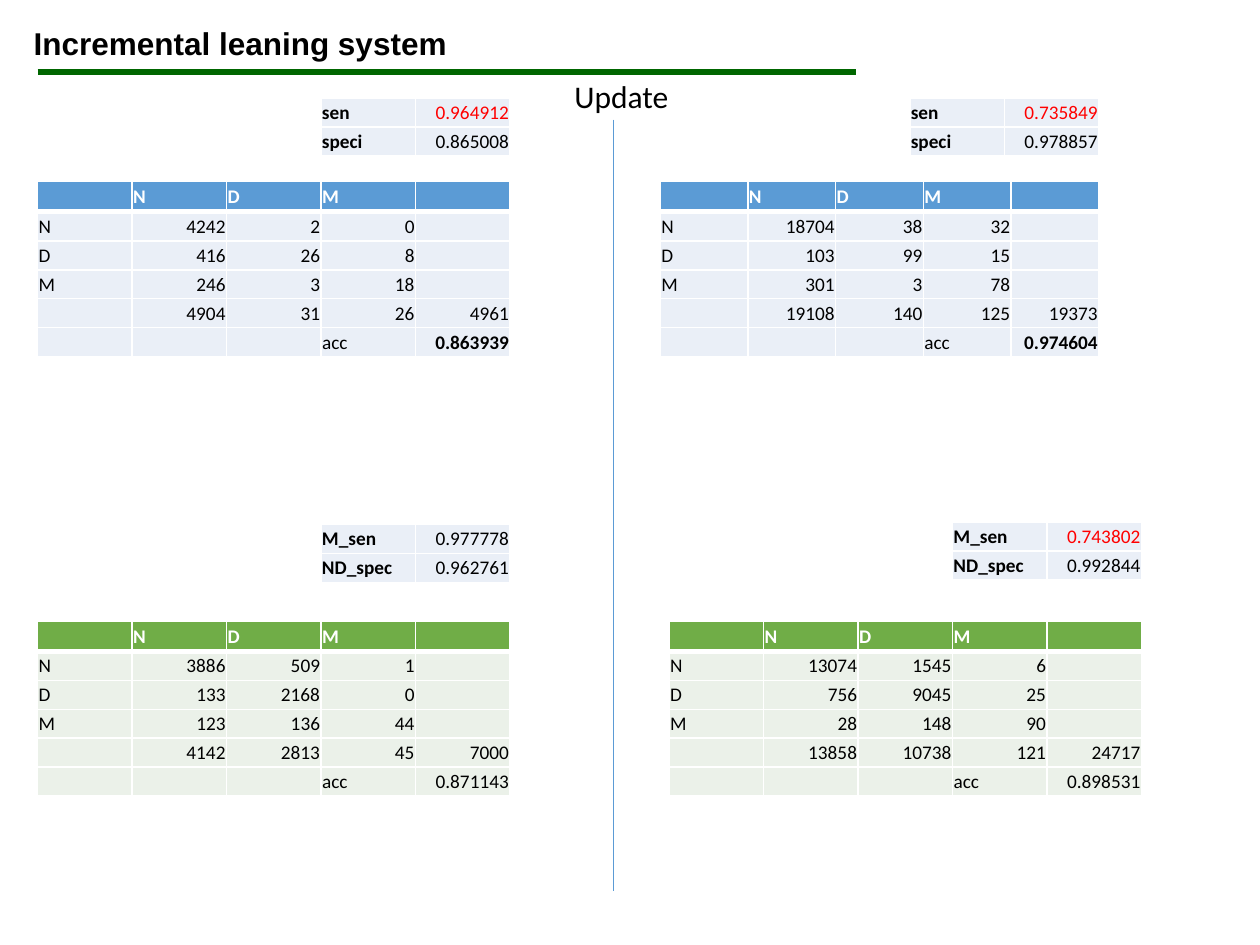
from lxml.etree import SubElement
from pptx import Presentation
from pptx.dml.color import RGBColor
from pptx.enum.shapes import MSO_CONNECTOR
from pptx.enum.text import MSO_ANCHOR, PP_ALIGN
from pptx.oxml.ns import qn
from pptx.util import Cm, Pt

COLORS = {
    "black": "000000",
    "white": "FFFFFF",
    "red": "FF0000",
    "rule": "006600",
    "blue": "5B9BD5",
    "pale blue": "EAEFF7",
    "green": "70AD47",
    "pale green": "EBF1E9",
}
CELL_FORMAT = {
    "margin_left": Cm(0.02),
    "margin_right": Cm(0.02),
    "margin_top": Cm(0.02),
    "margin_bottom": Cm(0),
    "vertical_anchor": MSO_ANCHOR.MIDDLE,
}
HEADER_HEIGHT = Cm(0.61)
ROW_HEIGHT = Cm(2.92) // 5
METRIC_WIDTH = Cm(3.81)
LABELS = ["N", "D", "M"]

# Each panel: matrix position and width, theme, counts, totals, accuracy, metrics
PANELS = [
    {
        "left": Cm(0.76), "top": Cm(3.66), "width": Cm(9.52),
        "theme": "blue", "bold_accuracy": True,
        "counts": [["4242", "2", "0"], ["416", "26", "8"], ["246", "3", "18"]],
        "totals": ["4904", "31", "26", "4961"], "accuracy": "0.863939",
        "metric_top": Cm(1.98), "low": True,
        "metrics": [["sen", "0.964912"], ["speci", "0.865008"]],
    },
    {
        "left": Cm(13.31), "top": Cm(3.66), "width": Cm(8.84),
        "theme": "blue", "bold_accuracy": True,
        "counts": [["18704", "38", "32"], ["103", "99", "15"], ["301", "3", "78"]],
        "totals": ["19108", "140", "125", "19373"], "accuracy": "0.974604",
        "metric_top": Cm(1.98), "low": True,
        "metrics": [["sen", "0.735849"], ["speci", "0.978857"]],
    },
    {
        "left": Cm(0.76), "top": Cm(12.52), "width": Cm(9.52),
        "theme": "green", "bold_accuracy": False,
        "counts": [["3886", "509", "1"], ["133", "2168", "0"], ["123", "136", "44"]],
        "totals": ["4142", "2813", "45", "7000"], "accuracy": "0.871143",
        "metric_top": Cm(10.57), "low": False,
        "metrics": [["M_sen", "0.977778"], ["ND_spec", "0.962761"]],
    },
    {
        "left": Cm(13.49), "top": Cm(12.52), "width": Cm(9.52),
        "theme": "green", "bold_accuracy": False,
        "counts": [["13074", "1545", "6"], ["756", "9045", "25"], ["28", "148", "90"]],
        "totals": ["13858", "10738", "121", "24717"], "accuracy": "0.898531",
        "metric_top": Cm(10.52), "low": True,
        "metrics": [["M_sen", "0.743802"], ["ND_spec", "0.992844"]],
    },
]


def rgb(name):
    return RGBColor.from_string(COLORS[name])


def write(para, text, size, font_name, color="black", bold=False):
    span = para.add_run()
    span.text = text
    values = {"size": Pt(size), "name": font_name, "bold": bold}
    for key, value in values.items():
        setattr(span.font, key, value)
    span.font.color.rgb = rgb(color)


def add_label(slide, left, top, width, text, font_name, bold):
    box = slide.shapes.add_textbox(left, top, width, Cm(1.02))
    box.text_frame.word_wrap = True
    write(box.text_frame.paragraphs[0], text, 18, font_name, bold=bold)


def add_line(slide, start, end, color, weight):
    line = slide.shapes.add_connector(MSO_CONNECTOR.STRAIGHT, *start, *end)
    line.line.color.rgb = rgb(color)
    line.line.width = Pt(weight)
    SubElement(line._element.spPr, qn("a:effectLst"))


def add_borders(cell, top, bottom):
    """Draw white borders, with top and bottom weights in points."""
    properties = cell._tc.get_or_add_tcPr()
    for side, weight in {"L": 1, "R": 1, "T": top, "B": bottom}.items():
        border = SubElement(properties, qn(f"a:ln{side}"), w=str(Pt(weight)))
        fill = SubElement(border, qn("a:solidFill"))
        SubElement(fill, qn("a:srgbClr"), val=COLORS["white"])


def fill_cell(cell, text, fill, color="black", bold=False, top=1, bottom=1):
    for key, value in CELL_FORMAT.items():
        setattr(cell, key, value)
    add_borders(cell, top, bottom)
    cell.fill.solid()
    cell.fill.fore_color.rgb = rgb(fill)
    para = cell.text_frame.paragraphs[0]
    if text:
        if text[0].isdigit():
            para.alignment = PP_ALIGN.RIGHT
        write(para, text, 11, "Calibri", color, bold)
    else:
        SubElement(para._p, qn("a:endParaRPr"), sz="1100")


def add_grid(slide, left, top, width, heights, columns):
    frame = slide.shapes.add_table(
        len(heights), columns, left, top, width, sum(heights))
    for row, height in zip(frame.table.rows, heights):
        row.height = height
    return frame.table


def add_matrix(slide, panel):
    """Add the confusion matrix with its totals and accuracy rows."""
    rows = [["", *LABELS, ""]]
    rows += [[label, *counts, ""] for label, counts in zip(LABELS, panel["counts"])]
    rows += [["", *panel["totals"]], ["", "", "", "acc", panel["accuracy"]]]
    heights = [HEADER_HEIGHT] + [ROW_HEIGHT] * (len(rows) - 1)
    table = add_grid(slide, panel["left"], panel["top"], panel["width"],
                     heights, len(rows[0]))
    theme = panel["theme"]
    for r, row in enumerate(rows):
        for c, text in enumerate(row):
            cell = table.cell(r, c)
            if r == 0:
                fill_cell(cell, text, theme, "white", True, bottom=3)
            else:
                bold = panel["bold_accuracy"] and text == panel["accuracy"]
                fill_cell(cell, text, f"pale {theme}", bold=bold,
                          top=3 if r == 1 else 1)


def add_metrics(slide, panel):
    """Add the metric table, flush with the right edge of the matrix."""
    left = panel["left"] + panel["width"] - METRIC_WIDTH
    table = add_grid(slide, left, panel["metric_top"], METRIC_WIDTH,
                     [ROW_HEIGHT] * 2, 2)
    for r, (name, value) in enumerate(panel["metrics"]):
        color = "red" if r == 0 and panel["low"] else "black"
        fill_cell(table.cell(r, 0), name, "pale blue", bold=True)
        fill_cell(table.cell(r, 1), value, "pale blue", color)


def main():
    deck = Presentation()
    deck.slide_width, deck.slide_height = Cm(25.4), Cm(19.05)
    slide = deck.slides.add_slide(deck.slide_layouts[6])
    add_label(slide, Cm(0.43), Cm(0.36), Cm(13.06),
              "Incremental leaning system", "Arial", True)
    add_line(slide, (Cm(0.76), Cm(1.45)), (Cm(17.25), Cm(1.45)), "rule", 3)
    add_line(slide, (Cm(12.37), Cm(2.41)), (Cm(12.37), Cm(17.96)), "blue", 0.5)
    add_label(slide, Cm(11.33), Cm(1.42), Cm(3.66), "Update", "Calibri", False)
    for panel in PANELS:
        add_matrix(slide, panel)
        add_metrics(slide, panel)
    deck.save("out.pptx")


if __name__ == "__main__":
    main()
